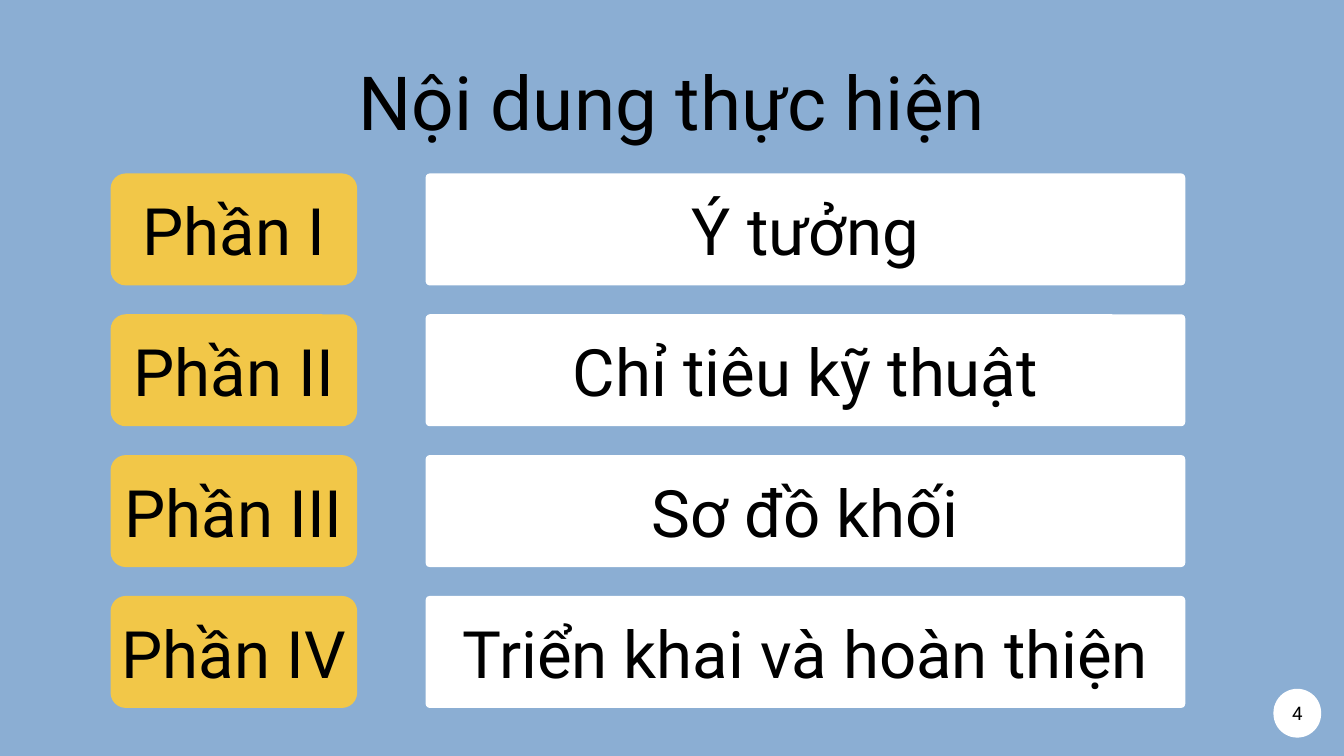
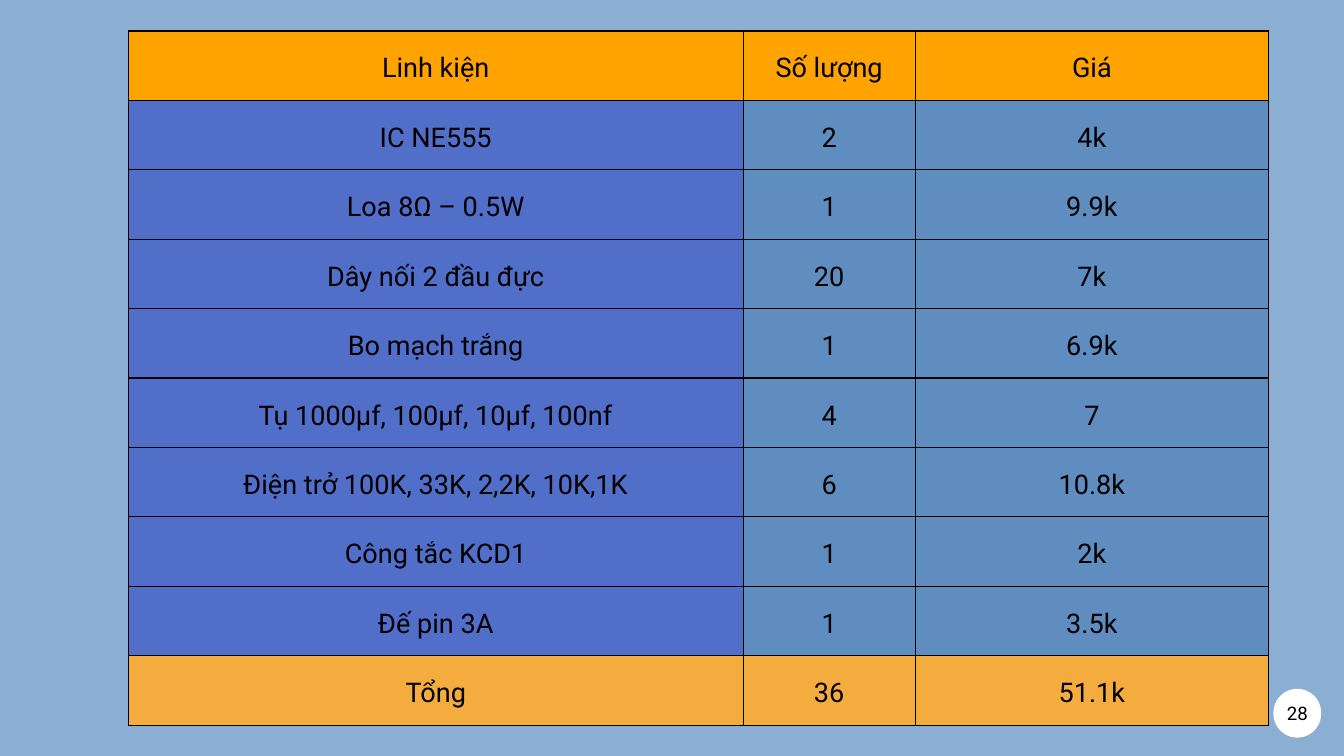
"""Build the contents slide and the parts cost slide."""
from pptx import Presentation
from pptx.dml.color import RGBColor
from pptx.enum.shapes import MSO_SHAPE
from pptx.enum.text import MSO_ANCHOR, MSO_AUTO_SIZE, PP_ALIGN
from pptx.oxml import parse_xml
from pptx.oxml.ns import nsdecls
from pptx.util import Pt

FONT = "Roboto"
COLORS = {
    "background": "8BAED3",
    "text": "000000",
    "white": "FFFFFF",
    "tag": "F2C748",
    "header": "FFA300",
    "part": "516EC9",
    "value": "5F8DC0",
    "total": "F5AC3F",
}
SECTIONS = [
    ("Phần I", "Ý tưởng"),
    ("Phần II", "Chỉ tiêu kỹ thuật"),
    ("Phần III", "Sơ đồ khối"),
    ("Phần IV", "Triển khai và hoàn thiện"),
]
SECTION_TOP, SECTION_PITCH, SECTION_HEIGHT = 185.8, 150.9, 120
COSTS = [
    ("Linh kiện", "Số lượng", "Giá"),
    ("IC NE555", "2", "4k"),
    ("Loa 8Ω – 0.5W", "1", "9.9k"),
    ("Dây nối 2 đầu đực", "20", "7k"),
    ("Bo mạch trắng", "1", "6.9k"),
    ("Tụ 1000µf, 100µf, 10µf, 100nf", "4", "7"),
    ("Điện trở 100K, 33K, 2,2K, 10K,1K", "6", "10.8k"),
    ("Công tắc KCD1", "1", "2k"),
    ("Đế pin 3A", "1", "3.5k"),
    ("Tổng", "36", "51.1k"),
]
COST_WIDTHS = (658.8, 184.3, 378.7)
COST_ROW_HEIGHT = 74.4


def rgb(name):
    """Return a palette colour."""
    return RGBColor.from_string(COLORS[name])


def set_text(tf, text, size, leading):
    """Write one centred paragraph with exact line spacing."""
    tf.text = text
    p = tf.paragraphs[0]
    p.alignment = PP_ALIGN.CENTER
    p.line_spacing = Pt(leading)
    p.font.name = FONT
    p.font.size = Pt(size)
    p.font.color.rgb = rgb("text")


def clear_frame(tf, anchor):
    """Remove the insets of a text frame and fix its size."""
    tf.margin_left = tf.margin_right = tf.margin_top = tf.margin_bottom = 0
    tf.auto_size = MSO_AUTO_SIZE.NONE
    tf.word_wrap = True
    tf.vertical_anchor = anchor


def add_title(slide, text):
    """Place and format the title placeholder."""
    sp = slide.shapes.title
    sp.left, sp.top, sp.width, sp.height = Pt(250.6), Pt(59.8), Pt(938.9), Pt(96)
    clear_frame(sp.text_frame, MSO_ANCHOR.TOP)
    set_text(sp.text_frame, text, 80, 96)


def add_label(slide, box, text, color, radius, size):
    """Add a filled rounded box with centred text."""
    sp = slide.shapes.add_shape(MSO_SHAPE.ROUNDED_RECTANGLE, *map(Pt, box))
    sp.adjustments[0] = radius / min(box[2:])
    sp.shadow.inherit = False
    sp.fill.solid()
    sp.fill.fore_color.rgb = rgb(color)
    sp.line.fill.background()
    clear_frame(sp.text_frame, MSO_ANCHOR.MIDDLE)
    set_text(sp.text_frame, text, size, size * 1.2)


def add_page_number(slide, number):
    """Add the round page badge."""
    add_label(slide, (1364.4, 738, 51.1, 52.3), str(number), "white", 25.55, 20)


def add_borders(cell):
    """Draw thin lines on the four sides of a cell."""
    tc_pr = cell._tc.get_or_add_tcPr()
    for side in "LRTB":
        tc_pr.append(parse_xml(
            f'<a:ln{side} {nsdecls("a")} w="{Pt(1.5)}"><a:solidFill>'
            f'<a:srgbClr val="{COLORS["text"]}"/></a:solidFill></a:ln{side}>'))


def cost_color(row, col):
    """Choose the fill of a cell by its place in the cost table."""
    if row == 0:
        return "header"
    if row == len(COSTS) - 1:
        return "total"
    return "part" if col == 0 else "value"


def add_cost_table(slide):
    """Add the table of parts, quantities and prices."""
    table = slide.shapes.add_table(
        len(COSTS), len(COST_WIDTHS), Pt(137.5), Pt(33.1),
        Pt(sum(COST_WIDTHS)), Pt(COST_ROW_HEIGHT * len(COSTS))).table
    table.first_row = table.horz_banding = False
    for column, width in zip(table.columns, COST_WIDTHS):
        column.width = Pt(width)
    for i, values in enumerate(COSTS):
        table.rows[i].height = Pt(COST_ROW_HEIGHT)
        for j, value in enumerate(values):
            cell = table.cell(i, j)
            cell.margin_left = cell.margin_right = Pt(13)
            cell.margin_top = cell.margin_bottom = Pt(13)
            cell.vertical_anchor = MSO_ANCHOR.MIDDLE
            add_borders(cell)
            cell.fill.solid()
            cell.fill.fore_color.rgb = rgb(cost_color(i, j))
            set_text(cell.text_frame, value, 29, 40.6)


def add_contents_slide(prs):
    """Add the slide that lists the sections."""
    slide = prs.slides.add_slide(prs.slide_layouts[5])
    add_title(slide, "Nội dung thực hiện")
    for i, (tag, name) in enumerate(SECTIONS):
        top = SECTION_TOP + i * SECTION_PITCH
        add_label(slide, (118.5, top, 264.2, SECTION_HEIGHT), tag, "tag", 16.3, 70)
        add_label(slide, (456, top, 813.9, SECTION_HEIGHT), name, "white", 4.5, 70)
    add_page_number(slide, 4)


def add_cost_slide(prs):
    """Add the slide with the cost table."""
    slide = prs.slides.add_slide(prs.slide_layouts[6])
    add_cost_table(slide)
    add_page_number(slide, 28)


def main():
    """Build and save the presentation."""
    prs = Presentation()
    prs.slide_width, prs.slide_height = Pt(1440), Pt(810)
    fill = prs.slide_master.background.fill
    fill.solid()
    fill.fore_color.rgb = rgb("background")
    add_contents_slide(prs)
    add_cost_slide(prs)
    prs.save("out.pptx")


if __name__ == "__main__":
    main()
